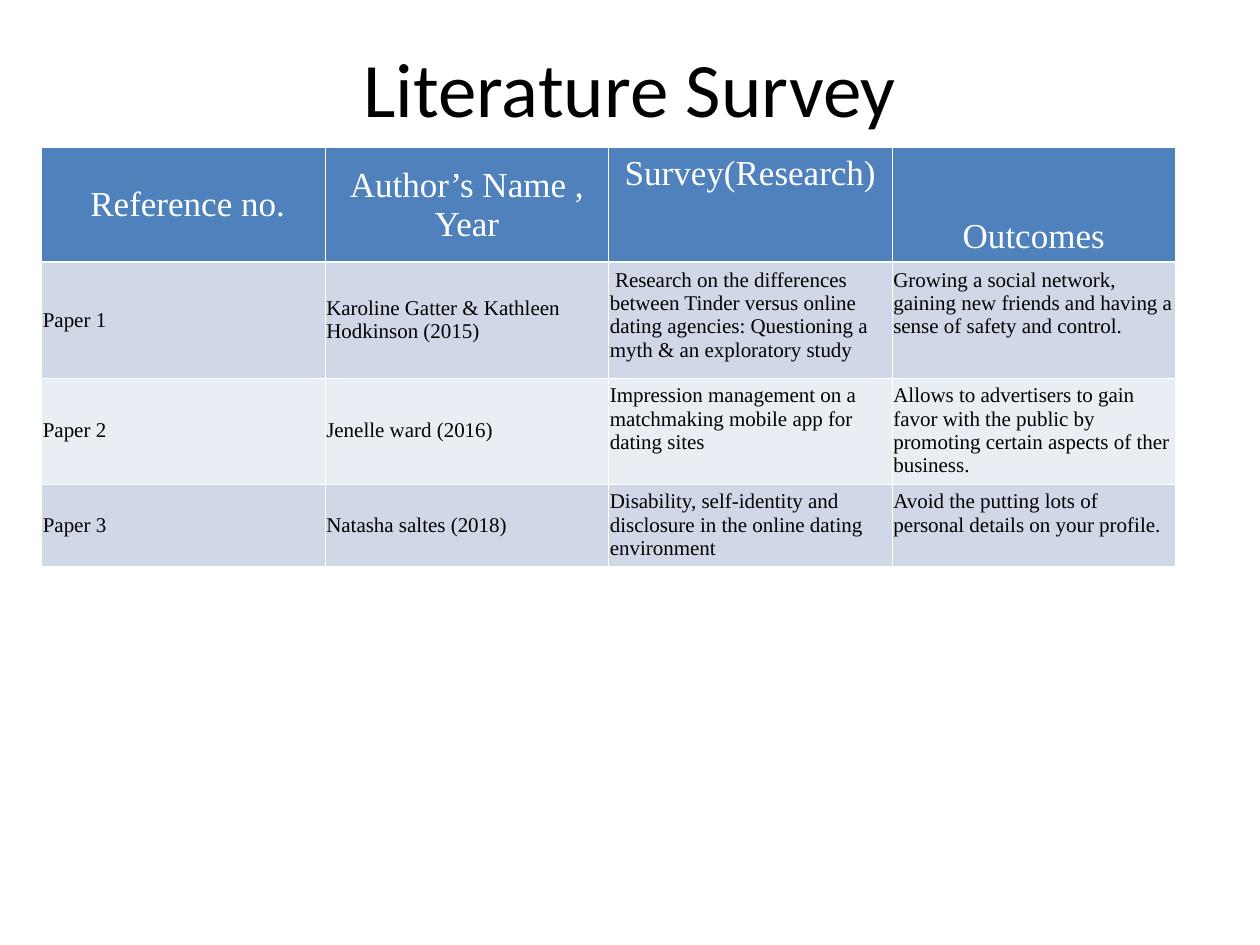
from lxml.etree import SubElement
from pptx import Presentation
from pptx.dml.color import RGBColor
from pptx.enum.text import MSO_ANCHOR, PP_ALIGN
from pptx.oxml.ns import qn
from pptx.util import Inches, Pt

WHITE = RGBColor(0xFF, 0xFF, 0xFF)
BLACK = RGBColor(0, 0, 0)
HEADER_BLUE = RGBColor(0x4F, 0x81, 0xBD)
BAND_DARK = RGBColor(0xD0, 0xD8, 0xE8)
BAND_LIGHT = RGBColor(0xE9, 0xED, 0xF4)

THIN, THICK = Pt(0.45), Pt(1.47)
ROW_HEIGHTS = [0.91, 0.92, 0.81, 0.61]
TOP, MIDDLE, BOTTOM = MSO_ANCHOR.TOP, MSO_ANCHOR.MIDDLE, MSO_ANCHOR.BOTTOM
HEADER_ANCHORS = [MIDDLE, MIDDLE, TOP, BOTTOM]
BODY_ANCHORS = [MIDDLE, MIDDLE, TOP, TOP]

SURVEY = [
    [" Reference no.", "Author’s Name , Year", "Survey(Research)", "Outcomes"],
    ["Paper 1", "Karoline Gatter & Kathleen Hodkinson (2015)",
     " Research on the differences between Tinder versus online dating agencies: "
     "Questioning a myth & an exploratory study",
     "Growing a social network, gaining new friends and having a sense of "
     "safety and control."],
    ["Paper 2", "Jenelle ward (2016)",
     "Impression management on a matchmaking mobile app for dating sites",
     "Allows to advertisers to gain favor with the public by promoting certain "
     "aspects of ther business."],
    ["Paper 3", "Natasha saltes (2018)",
     "Disability, self-identity and disclosure in the online dating environment",
     "Avoid the putting lots of personal details on your profile."],
]


def add_text(para, text, font_name, size, color, align):
    para.alignment = align
    span = para.add_run()
    span.text = text
    span.font.name = font_name
    span.font.size = Pt(size)
    span.font.bold = False
    span.font.color.rgb = color


def set_borders(cell, top, bottom):
    properties = cell._tc.get_or_add_tcPr()
    for side, width in (("L", THIN), ("R", THIN), ("T", top), ("B", bottom)):
        line = SubElement(properties, qn(f"a:ln{side}"), w=str(int(width)))
        fill = SubElement(line, qn("a:solidFill"))
        SubElement(fill, qn("a:srgbClr"), val=str(WHITE))


def place_title(slide, left, top, width, height):
    title = slide.shapes.title
    title.left, title.top, title.width, title.height = left, top, width, height
    title.text_frame.vertical_anchor = MIDDLE
    add_text(title.text_frame.paragraphs[0], "Literature Survey",
             "Calibri", 44, BLACK, PP_ALIGN.CENTER)


def fill_cell(cell, text, row, column):
    header = row == 0
    cell.margin_left = cell.margin_right = Inches(0.01)
    cell.margin_top = cell.margin_bottom = Inches(0.05)
    cell.vertical_anchor = (HEADER_ANCHORS if header else BODY_ANCHORS)[column]
    # A thicker rule parts the header from the body
    set_borders(cell, THICK if row == 1 else THIN, THICK if header else THIN)
    cell.fill.solid()
    band = BAND_DARK if row % 2 else BAND_LIGHT
    cell.fill.fore_color.rgb = HEADER_BLUE if header else band
    add_text(cell.text_frame.paragraphs[0], text, "Times New Roman",
             20 if header else 12, WHITE if header else BLACK,
             PP_ALIGN.CENTER if header else PP_ALIGN.LEFT)


def place_survey_table(slide, left, top, width, height):
    table = slide.shapes.add_table(len(SURVEY), len(SURVEY[0]),
                                   left, top, width, height).table
    for row, texts in enumerate(SURVEY):
        table.rows[row].height = Inches(ROW_HEIGHTS[row])
        for column, text in enumerate(texts):
            fill_cell(table.cell(row, column), text, row, column)


def main():
    deck = Presentation()
    deck.slide_width, deck.slide_height = Inches(10), Inches(7.5)
    page = deck.slides.add_slide(deck.slide_layouts[5])
    place_title(page, Inches(0.5), Inches(0.3), Inches(9), Inches(0.78))
    place_survey_table(page, Inches(0.33), Inches(1.17), Inches(9),
                       Inches(sum(ROW_HEIGHTS)))
    deck.save("out.pptx")


if __name__ == "__main__":
    main()
